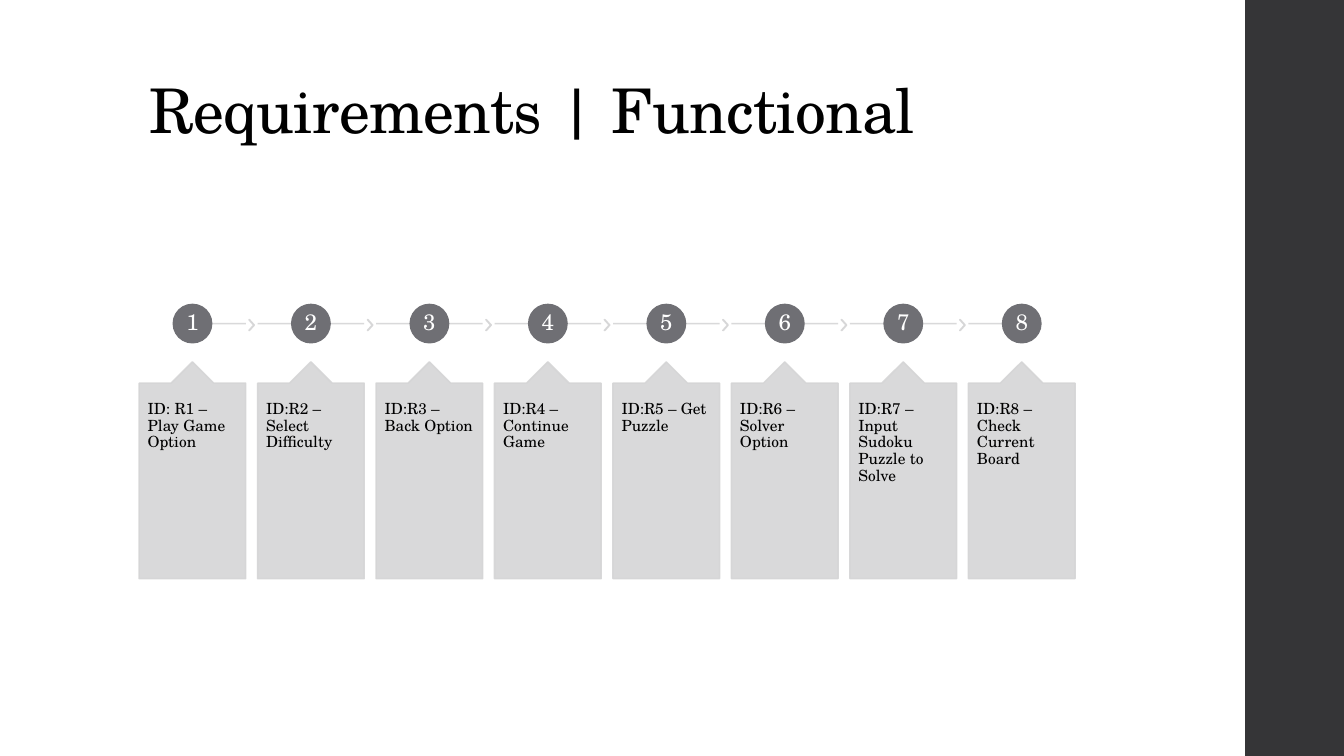
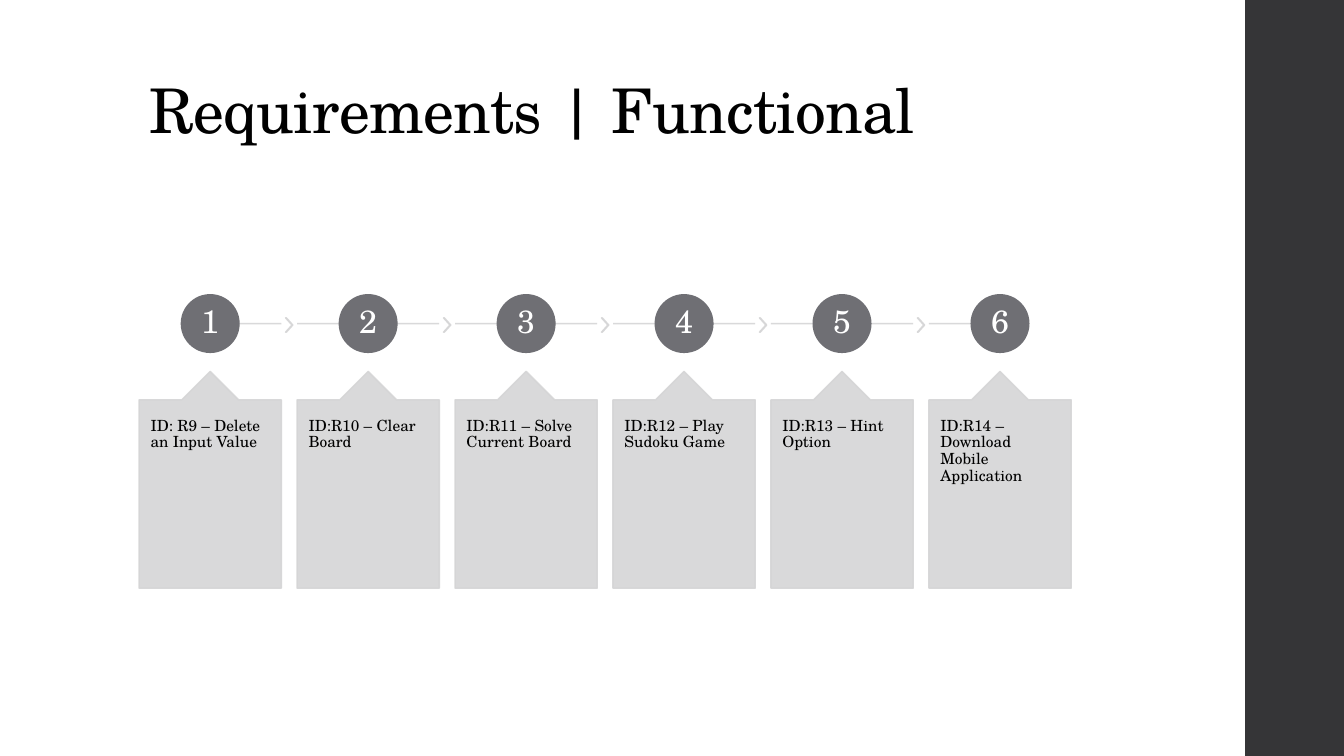
from dataclasses import dataclass

from lxml import etree
from pptx import Presentation
from pptx import util as u
from pptx.dml.color import RGBColor
from pptx.enum import shapes, text
from pptx.oxml.ns import qn

KIND = shapes.MSO_SHAPE


@dataclass(frozen=True)
class Theme:
    font: str = "TeX Gyre Schola"
    ink: str = "000000"
    paper: str = "FFFFFF"
    band: str = "353537"
    disc: str = "6F6F74"
    pale: str = "D5D5D6"
    head: int = 44
    body: int = 11
    line: float = 1.1
    alpha: int = 90


T = Theme()
LEFT, SPAN, AXIS, BASE = 1.38, 9.4, 3.21, 2.15

# Each slide: title, disc diameter, number size, steps
DECK = [
    ("Requirements | Functional", 0.38, 16, [
        "ID: R1 – Play Game Option",
        "ID:R2 – Select Difficulty",
        "ID:R3 – Back Option",
        "ID:R4 – Continue Game",
        "ID:R5 – Get Puzzle",
        "ID:R6 – Solver Option",
        "ID:R7 – Input Sudoku Puzzle to Solve",
        "ID:R8 – Check Current Board",
    ]),
    ("Requirements | Functional", 0.57, 23, [
        "ID: R9 – Delete an Input Value",
        "ID:R10 – Clear Board",
        "ID:R11 – Solve Current Board",
        "ID:R12 – Play Sudoku Game",
        "ID:R13 – Hint Option",
        "ID:R14 – Download Mobile Application",
    ]),
]


def fade(item):
    """Make every solid colour of the item slightly transparent."""
    for hue in item.element.spPr.iter(qn("a:srgbClr")):
        etree.SubElement(hue, qn("a:alpha"), val=str(T.alpha * 1000))


def shape(slide, kind, x, y, w, h, fill, adj=(), clear=False):
    item = slide.shapes.add_shape(kind, *map(u.Inches, (x, y, w, h)))
    item.shadow.inherit = False
    item.fill.solid()
    item.fill.fore_color.rgb = RGBColor.from_string(fill)
    item.line.color.rgb = RGBColor.from_string(fill)
    item.line.width = u.Pt(T.line)
    for i, part in enumerate(adj):
        item.adjustments[i] = part
    if clear:
        fade(item)
    return item


def rule(slide, x1, x2, y):
    item = slide.shapes.add_connector(
        shapes.MSO_CONNECTOR.STRAIGHT, *map(u.Inches, (x1, y, x2, y)))
    item.line.color.rgb = RGBColor.from_string(T.pale)
    item.line.width = u.Pt(T.line)
    etree.SubElement(item.element.spPr, qn("a:effectLst"))
    fade(item)


def write(item, words, size=T.body, color=T.ink, align=text.PP_ALIGN.LEFT,
          anchor=text.MSO_ANCHOR.TOP, side=0, top=0, wrap=True):
    frame = item.text_frame
    frame.word_wrap = wrap
    frame.vertical_anchor = anchor
    frame.margin_left = frame.margin_right = u.Inches(side)
    frame.margin_top = frame.margin_bottom = u.Inches(top)
    para = frame.paragraphs[0]
    para.alignment = align
    para.line_spacing = 0.9
    run = para.add_run()
    run.text = words
    run.font.name = T.font
    run.font.size = u.Pt(size)
    run.font.color.rgb = RGBColor.from_string(color)


def style(master, layout):
    """Set the title style that all slides inherit."""
    level = master.element.find(
        f".//{qn('p:titleStyle')}/{qn('a:lvl1pPr')}")
    level.set("algn", "l")
    gap = etree.Element(qn("a:lnSpc"))
    etree.SubElement(gap, qn("a:spcPct"), val="90000")
    level.insert(0, gap)
    face = level.find(qn("a:defRPr"))
    face.set("sz", str(T.head * 100))
    face.set("spc", "-50")
    face.find(qn("a:latin")).set("typeface", T.font)
    title = layout.placeholders[0]
    title.left, title.top = u.Inches(LEFT), u.Inches(0.4)
    title.width, title.height = u.Inches(10.6), u.Inches(1.45)


def band(slide, master):
    """Draw the side band and move it to the master."""
    item = shape(slide, KIND.RECTANGLE, 12.35, 0, 1, 7.5, T.band)
    item.line.fill.background()
    master.shapes.element.insert(2, item.element)


def step(slide, i, count, words, disc, size):
    pitch = SPAN / count
    wide = 0.9 * pitch
    x = LEFT + i * pitch
    mid, end = x + wide / 2, x + wide
    last = i == count - 1
    rule(slide, x if i else mid, mid if last else end, AXIS)
    if not last:
        tip = 0.05 * wide
        shape(slide, KIND.CHEVRON, (end + x + pitch - tip) / 2,
              AXIS + 0.015 - tip, tip, 2 * tip, T.pale, [0.9], clear=True)
    dot = shape(slide, KIND.OVAL, mid - disc / 2, AXIS - disc / 2,
                disc, disc, T.disc)
    write(dot, str(i + 1), size=size, color=T.paper, wrap=False,
          align=text.PP_ALIGN.CENTER, anchor=text.MSO_ANCHOR.MIDDLE)
    card = shape(slide, KIND.UP_ARROW_CALLOUT, x, AXIS + disc / 2 + 0.19,
                 wide, BASE, T.pale, [0.5, 0.2, 0.2, 1], clear=True)
    write(card, words, side=0.08 * wide, top=0.18)


def main():
    prs = Presentation()
    prs.slide_width, prs.slide_height = u.Inches(13.33), u.Inches(7.5)
    master, layout = prs.slide_master, prs.slide_layouts[5]
    style(master, layout)
    for n, (title, disc, size, steps) in enumerate(DECK):
        slide = prs.slides.add_slide(layout)
        if n == 0:
            band(slide, master)
        slide.shapes.title.text = title
        for i, words in enumerate(steps):
            step(slide, i, len(steps), words, disc, size)
    prs.save("out.pptx")


if __name__ == "__main__":
    main()
